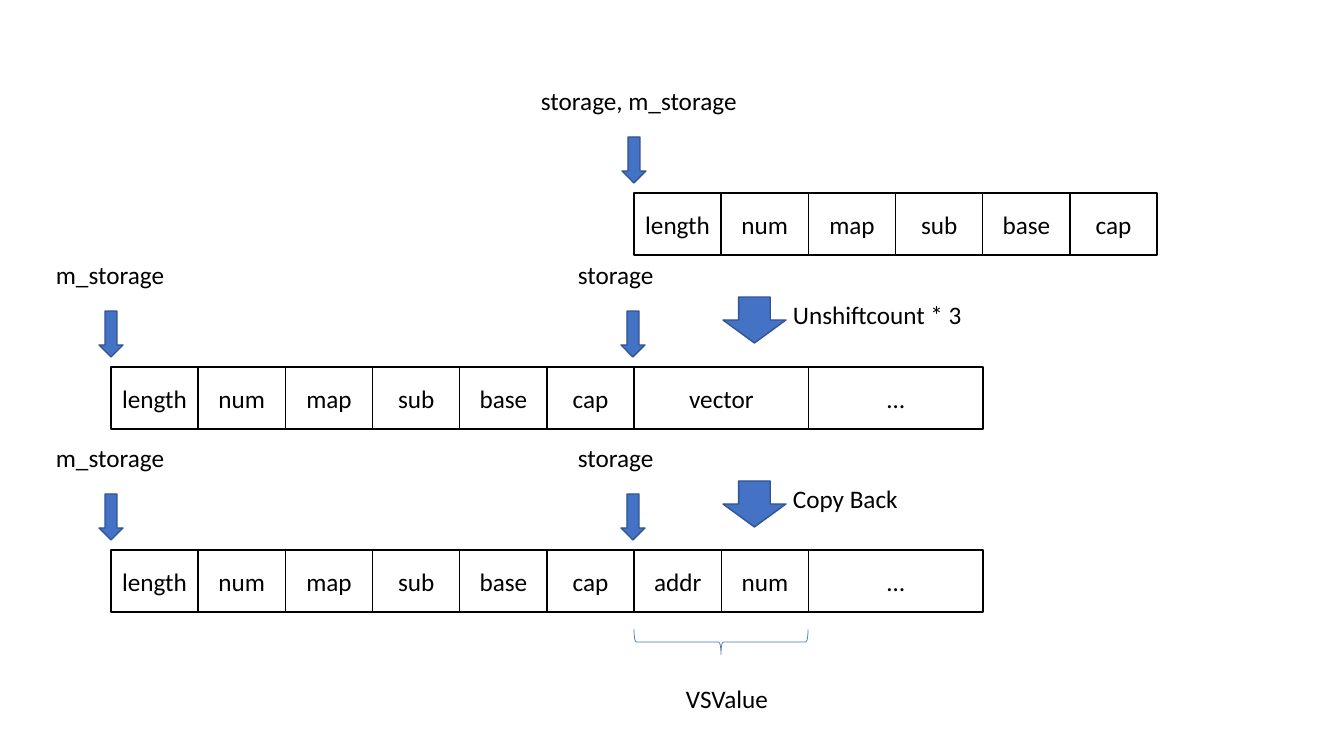
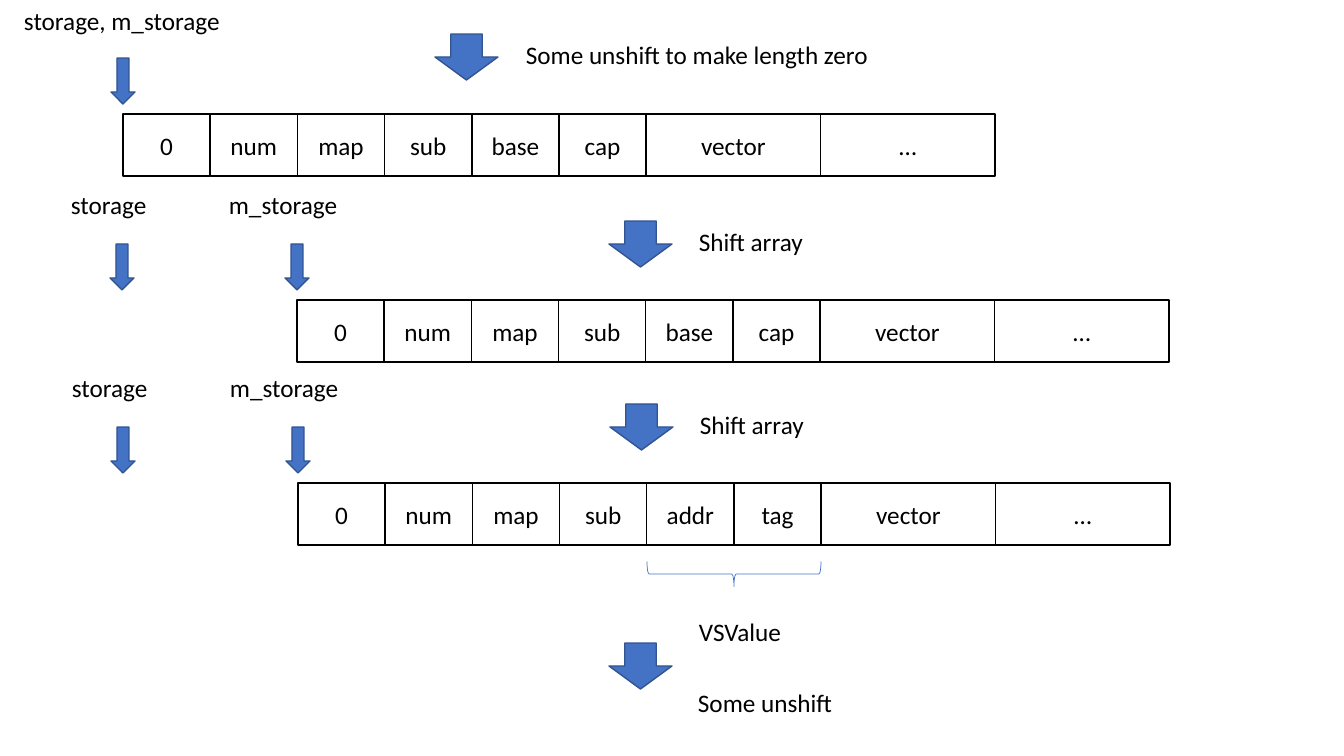
"""Draw two slides showing how array storage moves on unshift and shift."""
from pptx import Presentation, util as u
from pptx.dml.color import RGBColor
from pptx.enum import shapes, text

HEAD = [("length", 1), ("num", 1), ("map", 1), ("sub", 1)]
ZERO = [("0", 1)] + HEAD[1:]
BASE = [("base", 1), ("cap", 1)]
VECTOR, REST = [("vector", 2)], [("…", 2)]

SLIDES = [
    {
        "rows": [
            (634, 193, HEAD + BASE),
            (111, 367, HEAD + BASE + VECTOR + REST),
            (111, 550, HEAD + BASE + [("addr", 1), ("num", 1)] + REST),
        ],
        "pointers": [
            ("storage, m_storage", 531, 80, 634, 193),
            ("m_storage", 46, 254, 111, 367),
            ("storage", 568, 254, 633, 367),
            ("m_storage", 46, 437, 111, 550),
            ("storage", 568, 437, 633, 550),
        ],
        "steps": [
            ("Unshiftcount * 3", 723, 297, 783, 294),
            ("Copy Back", 723, 481, 783, 478),
        ],
        "brace": ("VSValue", 721, 642, 676, 678),
    },
    {
        "rows": [
            (123, 114, ZERO + BASE + VECTOR + REST),
            (297, 300, ZERO + BASE + VECTOR + REST),
            (298, 483, ZERO + [("addr", 1), ("tag", 1)] + VECTOR + REST),
        ],
        "pointers": [
            ("storage, m_storage", 14, 0, 123, 114),
            ("storage", 61, 184, 122, 300),
            ("m_storage", 219, 184, 297, 300),
            ("storage", 62, 367, 123, 483),
            ("m_storage", 220, 367, 298, 483),
        ],
        "steps": [
            ("Some unshift to make length zero", 435, 34, 516, 34),
            ("Shift array", 609, 221, 689, 221),
            ("Shift array", 610, 404, 690, 404),
            ("Some unshift", 609, 643, 688, 682),
        ],
        "brace": ("VSValue", 734, 574, 689, 611),
    },
]
LABEL_W = {
    "storage, m_storage": 218, "m_storage": 130, "storage": 97,
    "Unshiftcount * 3": 198, "Copy Back": 126, "VSValue": 104,
    "Some unshift to make length zero": 367, "Shift array": 126,
    "Some unshift": 156,
}
COLORS = {"ink": "000000", "paper": "FFFFFF", "blue": "4472C4", "edge": "325491"}
FONT = {"name": "Calibri", "size": u.Pt(18)}
CELL_FRAME = {"word_wrap": True, "vertical_anchor": text.MSO_ANCHOR.MIDDLE}
LABEL_FRAME = {"word_wrap": False, "auto_size": text.MSO_AUTO_SIZE.SHAPE_TO_FIT_TEXT}
SCALE = 914400 / 100.8
UNIT, CELL_H, LABEL_H = 87.2, 62, 40
POINTER_W, STEP_W, ARROW_H, POINTER_RISE = 24, 63, 46, 56
BRACE_W, BRACE_H = 25, 174
KIND = shapes.MSO_SHAPE


def color(name):
    return RGBColor.from_string(COLORS[name])


def box(*lengths):
    return [u.Emu(round(n * SCALE)) for n in lengths]


def write(sp, words, frame, align):
    tf = sp.text_frame
    for key, value in frame.items():
        setattr(tf, key, value)
    p = tf.paragraphs[0]
    p.alignment = align
    r = p.add_run()
    r.text = words
    for key, value in FONT.items():
        setattr(r.font, key, value)
    r.font.color.rgb = color("ink")


def add_shape(slide, kind, at, fill, line, width=1):
    sp = slide.shapes.add_shape(kind, *box(*at))
    sp.shadow.inherit = False
    if fill:
        sp.fill.solid()
        sp.fill.fore_color.rgb = color(fill)
    else:
        sp.fill.background()
    sp.line.color.rgb = color(line)
    sp.line.width = u.Pt(width)
    return sp


def add_label(slide, words, x, y):
    sp = slide.shapes.add_textbox(*box(x, y, LABEL_W[words], LABEL_H))
    write(sp, words, LABEL_FRAME, text.PP_ALIGN.LEFT)


def add_arrow(slide, x, y, w):
    add_shape(slide, KIND.DOWN_ARROW, (x, y, w, ARROW_H), "blue", "edge")


def add_row(slide, x, y, cells):
    for words, span in cells:
        at = (x, y, span * UNIT, CELL_H)
        sp = add_shape(slide, KIND.RECTANGLE, at, "paper", "ink")
        write(sp, words, CELL_FRAME, text.PP_ALIGN.CENTER)
        x += span * UNIT


def add_brace(slide, words, cx, cy, x, y):
    at = (cx - BRACE_W / 2, cy - BRACE_H / 2, BRACE_W, BRACE_H)
    sp = add_shape(slide, KIND.LEFT_BRACE, at, None, "blue", 0.5)
    sp.rotation = 270
    add_label(slide, words, x, y)


prs = Presentation()
prs.slide_width, prs.slide_height = box(1344, 756)
for content in SLIDES:
    slide = prs.slides.add_slide(prs.slide_layouts[6])
    for row in content["rows"]:
        add_row(slide, *row)
    for words, x, y, tip, row_top in content["pointers"]:
        add_arrow(slide, tip - POINTER_W / 2, row_top - POINTER_RISE, POINTER_W)
        add_label(slide, words, x, y)
    for words, arrow_x, arrow_y, x, y in content["steps"]:
        add_arrow(slide, arrow_x, arrow_y, STEP_W)
        add_label(slide, words, x, y)
    add_brace(slide, *content["brace"])
prs.save("out.pptx")
